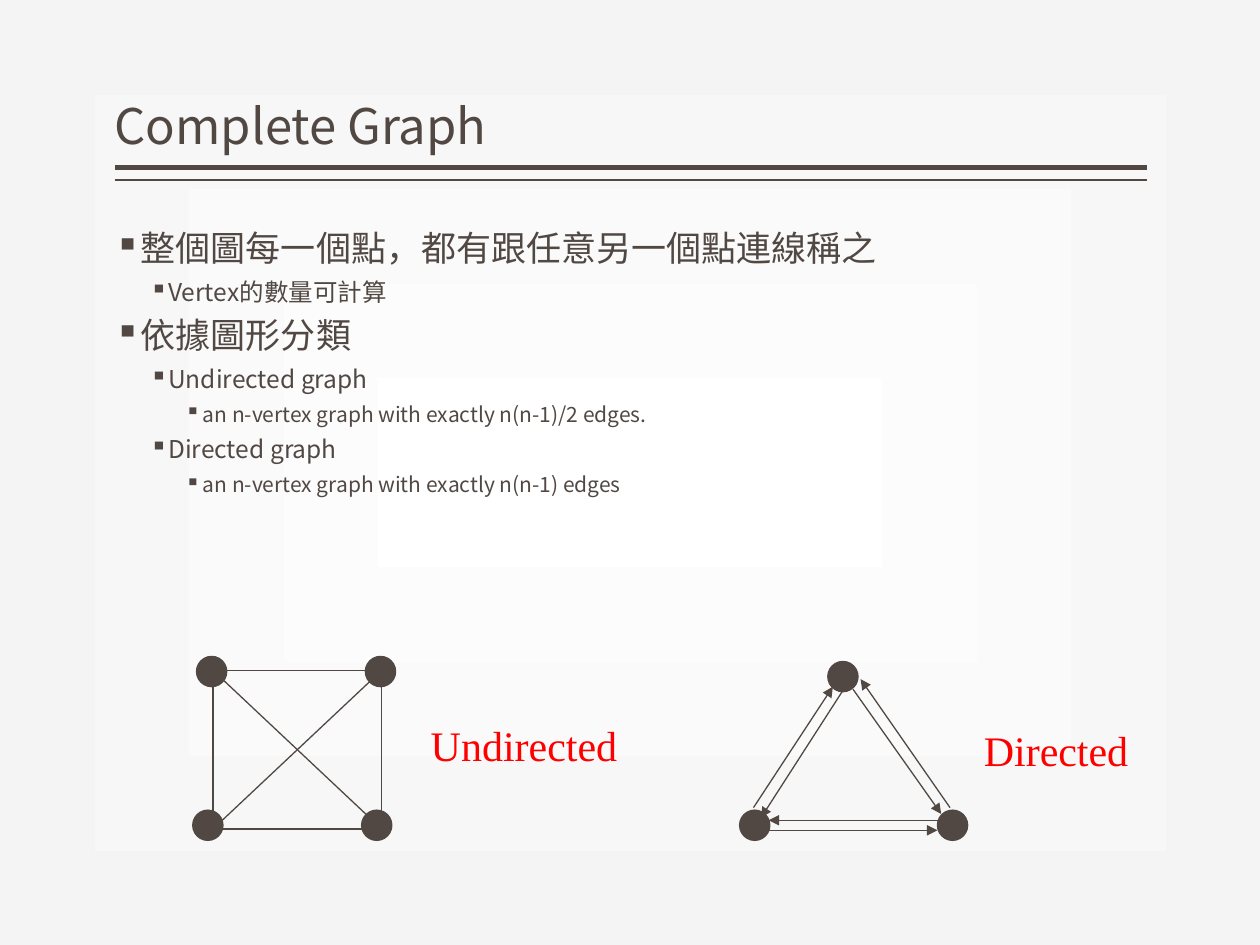
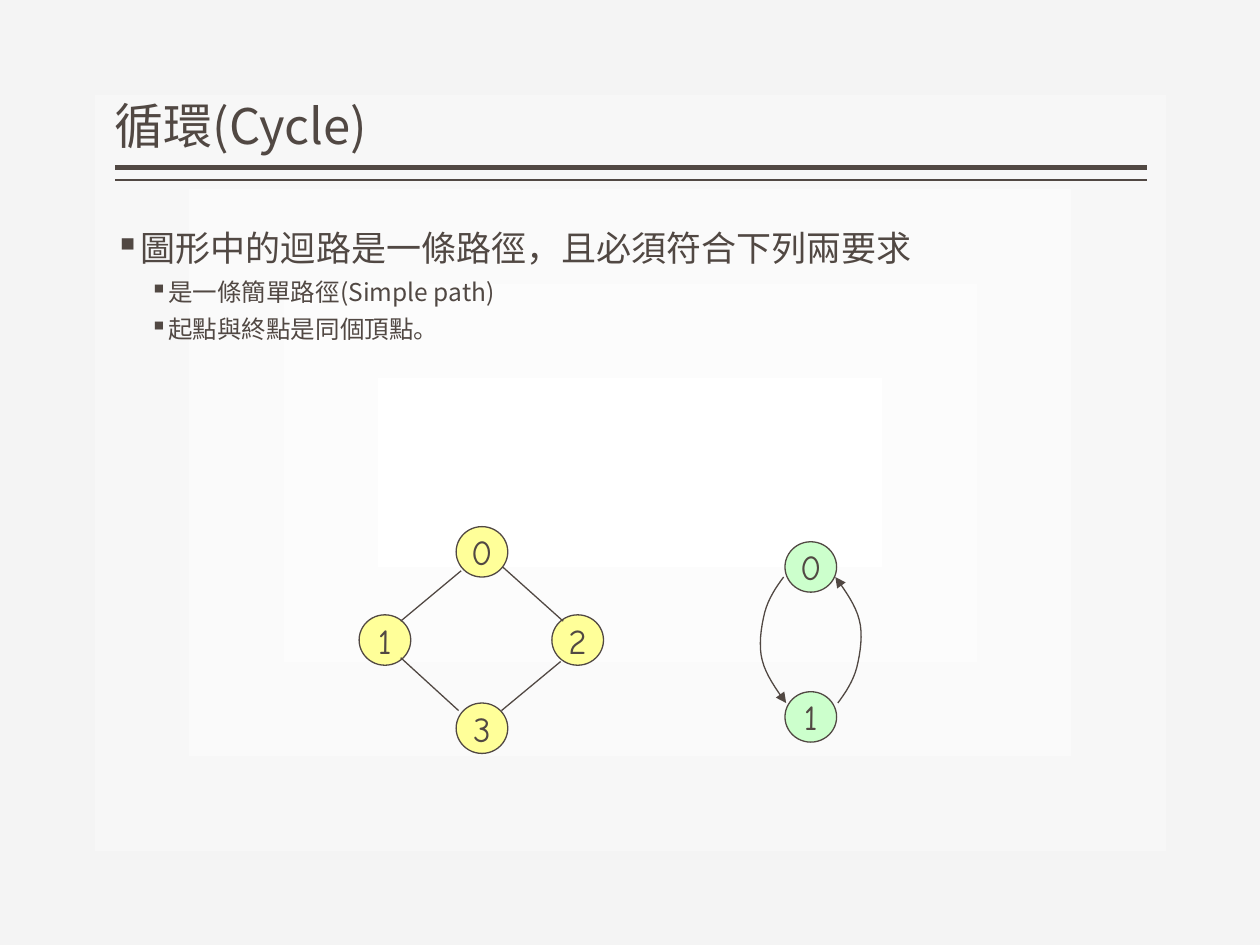
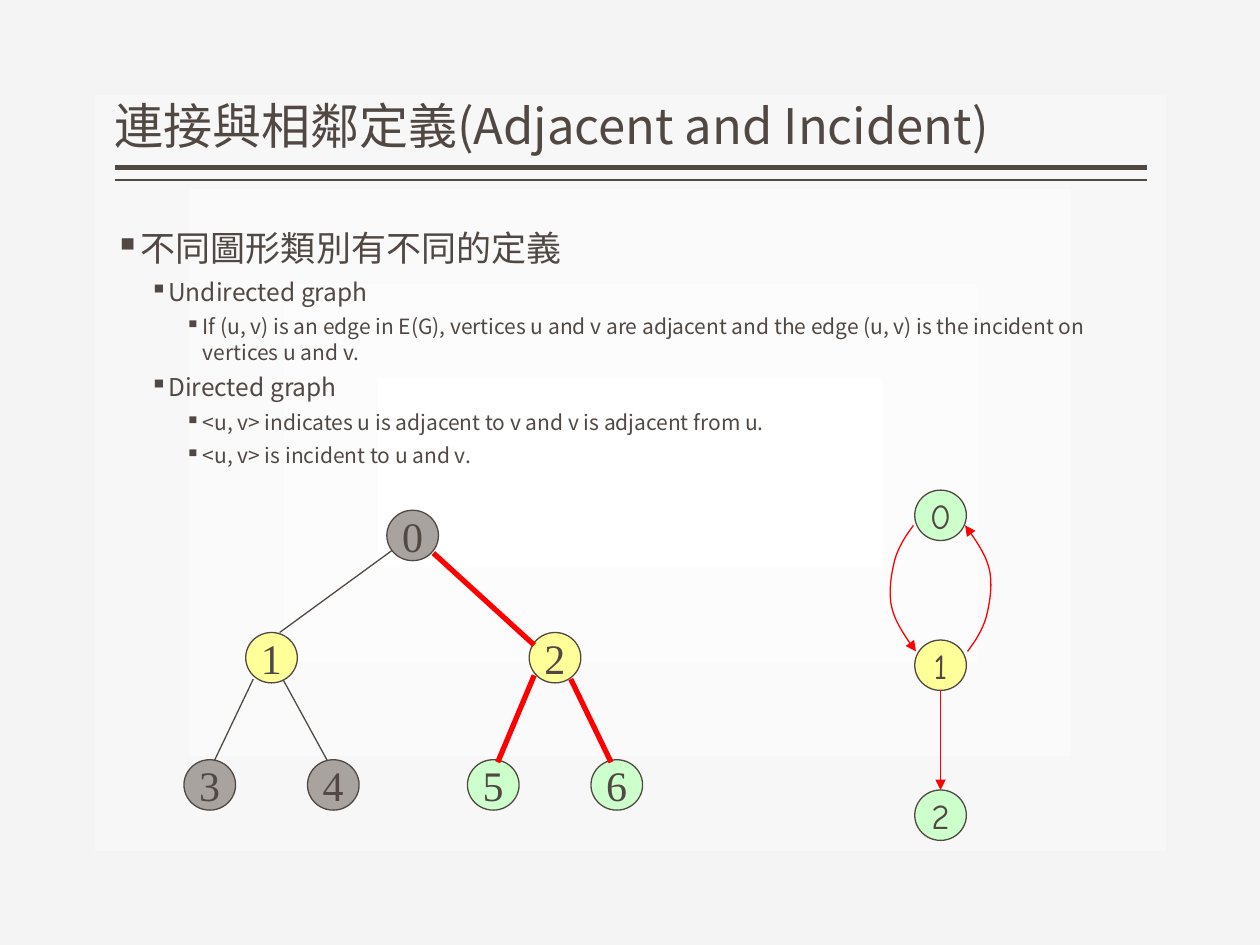
from dataclasses import dataclass

from lxml import etree
from pptx import Presentation
from pptx.dml.color import RGBColor
from pptx.enum.shapes import MSO_CONNECTOR, MSO_SHAPE
from pptx.enum.text import MSO_ANCHOR, MSO_AUTO_SIZE, PP_ALIGN
from pptx.oxml import parse_xml
from pptx.oxml.ns import nsdecls, qn
from pptx.util import Inches, Pt

LINE = MSO_CONNECTOR.STRAIGHT
OVAL, RECT = MSO_SHAPE.OVAL, MSO_SHAPE.RECTANGLE
BOTTOM, MIDDLE, TOP = MSO_ANCHOR.BOTTOM, MSO_ANCHOR.MIDDLE, MSO_ANCHOR.TOP
FIXED, GROW = MSO_AUTO_SIZE.NONE, MSO_AUTO_SIZE.SHAPE_TO_FIT_TEXT
LEFT, CENTER = PP_ALIGN.LEFT, PP_ALIGN.CENTER


@dataclass(frozen=True)
class Theme:
    """Colours, fonts and sizes shared by all slides."""
    ink: str = "514843"
    red: str = "FF0000"
    yellow: str = "FFFF99"
    green: str = "CCFFCC"
    gray: str = "A8A39E"
    white: str = "FFFFFF"
    edge: str = "F4F4F4"
    sans: str = "Noto Sans CJK SC"
    serif: str = "Times New Roman"
    hand: str = "Comic Neue"
    title: float = 28
    levels: tuple = (20, 14, 12)
    label: float = 24
    node: float = 20
    gap: float = 4.5
    thin: float = 0.75
    thick: float = 3


T = Theme()
TITLE = (0.91, 0.08, 8.19, 1.2)
BODY = (0.91, 1.75, 8.19, 5)
NODE_W, NODE_H, DOT = 0.41, 0.4, 0.24
STEP = 1.19
ARC = [(-0.01, 0.28), (-0.07, 0.36), (-0.13, 0.45), (-0.16, 0.56),
       (-0.19, 0.68), (-0.21, 0.83), (-0.18, 0.94),
       (-0.15, 1.06), (-0.07, 1.17), (0.01, 1.28)]


def apply(item, values):
    """Set attributes of an item from a dict."""
    for name, value in values.items():
        setattr(item, name, value)


def place(shape, box):
    """Move and size a shape to a box in inches."""
    names = ("left", "top", "width", "height")
    apply(shape, dict(zip(names, map(Inches, box))))


def write(para, text, size, face, color):
    """Add one formatted run to a paragraph."""
    run = para.add_run()
    run.text = text
    apply(run.font, {"size": Pt(size), "name": face})
    run.font.color.rgb = RGBColor.from_string(color)
    etree.SubElement(run._r.get_or_add_rPr(), qn("a:ea"), typeface=face)


def stroke(shape, color, width, arrow=False):
    """Colour an outline and add an arrowhead on request."""
    shape.line.color.rgb = RGBColor.from_string(color)
    shape.line.width = Pt(width)
    if arrow:
        line = shape._element.spPr.find(qn("a:ln"))
        etree.SubElement(line, qn("a:tailEnd"), type="triangle")


def link(slide, start, end, color=T.ink, width=T.thin, arrow=False):
    """Draw a straight line between two points."""
    ends = map(Inches, (*start, *end))
    line = slide.shapes.add_connector(LINE, *ends)
    stroke(line, color, width, arrow)
    etree.SubElement(line._element.spPr, qn("a:effectLst"))


def solid(slide, kind, box, fill=None):
    """Draw a preset shape with a thin outline."""
    shape = slide.shapes.add_shape(kind, *map(Inches, box))
    shape.shadow.inherit = False
    if fill:
        shape.fill.solid()
        shape.fill.fore_color.rgb = RGBColor.from_string(fill)
    else:
        shape.fill.background()
    stroke(shape, T.ink, T.thin)
    return shape


def node(slide, x, y, text, fill, face=T.hand, size=T.node):
    """Draw a numbered vertex."""
    frame = solid(slide, OVAL, (x, y, NODE_W, NODE_H), fill).text_frame
    apply(frame, {"word_wrap": False, "vertical_anchor": MIDDLE})
    para = frame.paragraphs[0]
    para.alignment = CENTER
    write(para, text, size, face, T.ink)


def dots(slide, x, y, spots):
    """Draw plain vertices at offsets from a corner."""
    for dx, dy in spots:
        solid(slide, OVAL, (x + dx, y + dy, DOT, DOT), T.ink)


def label(slide, box, text):
    """Write a red caption beside a graph."""
    frame = slide.shapes.add_textbox(*map(Inches, box)).text_frame
    apply(frame, {"word_wrap": False, "auto_size": GROW})
    write(frame.paragraphs[0], text, T.label, T.serif, T.red)


def cubic(p, t):
    """Return the point at t on a cubic curve."""
    s = 1 - t
    weights = (s ** 3, 3 * s * s * t, 3 * s * t * t, t ** 3)
    return tuple(sum(w * q[i] for w, q in zip(weights, p)) for i in (0, 1))


def curve(slide, points, color, parts=8):
    """Draw an open arrow through joined cubic curves."""
    path = [cubic(points[i:i + 4], n / parts)
            for i in range(0, len(points) - 1, 3) for n in range(1, parts + 1)]
    build = slide.shapes.build_freeform(*map(Inches, points[0]))
    build.add_line_segments([tuple(map(Inches, p)) for p in path], close=False)
    shape = build.convert_to_shape()
    shape.shadow.inherit = False
    shape.fill.background()
    stroke(shape, color, T.thin, True)


def loop(slide, x, y, fills, color):
    """Draw stacked vertices with a two-way cycle between the first two."""
    for i, fill in enumerate(fills):
        node(slide, x, y + i * STEP, str(i), fill)
    down = [(x + dx, y + dy) for dx, dy in ARC]
    up = [(x + NODE_W - dx, y + STEP + NODE_H - 0.03 - dy) for dx, dy in ARC]
    curve(slide, down, color)
    curve(slide, up, color)


def backdrop(deck):
    """Give the master its rectangular gradient."""
    fill = deck.slide_master.background.fill
    fill.solid()
    old = deck.slide_master._element.cSld.find(".//" + qn("a:solidFill"))
    grad = parse_xml(
        f'<a:gradFill {nsdecls("a")} rotWithShape="1"><a:gsLst>'
        f'<a:gs pos="0"><a:srgbClr val="{T.white}"/></a:gs>'
        f'<a:gs pos="100000"><a:srgbClr val="{T.edge}">'
        '<a:alpha val="80000"/></a:srgbClr></a:gs></a:gsLst>'
        '<a:path path="rect"><a:fillToRect l="5000" t="5000" r="5000" b="5000"/>'
        '</a:path></a:gradFill>')
    old.getparent().replace(old, grad)


def frame_up(frame, anchor):
    """Apply the shared margins of title and body."""
    apply(frame, {"margin_left": 0, "margin_right": 0,
                  "margin_top": Inches(0.05), "margin_bottom": Inches(0.05),
                  "word_wrap": True, "auto_size": FIXED,
                  "vertical_anchor": anchor})


def head(slide, text):
    """Fill the title and rule it off."""
    x, _, wide, _ = TITLE
    for y, width in ((1.33, T.thick), (1.43, 1)):
        link(slide, (x + wide, y), (x, y), T.ink, width)
    place(slide.shapes.title, TITLE)
    frame = slide.shapes.title.text_frame
    frame_up(frame, BOTTOM)
    para = frame.paragraphs[0]
    apply(para, {"alignment": LEFT, "line_spacing": 0.9})
    write(para, text, T.title, T.sans, T.ink)


def body(slide, items):
    """Write the bulleted outline."""
    frame = slide.shapes.add_textbox(*map(Inches, BODY)).text_frame
    frame_up(frame, TOP)
    for i, (level, text) in enumerate(items):
        para = frame.add_paragraph() if i else frame.paragraphs[0]
        apply(para, {"level": level, "space_before": Pt(T.gap if i else 0)})
        props = para._p.get_or_add_pPr()
        props.set("marL", str(Inches(0.14 + 0.28 * level)))
        props.set("indent", str(Inches(-0.14)))
        etree.SubElement(props, qn("a:buChar"), char="▪")
        write(para, text, T.levels[level], T.sans, T.ink)


def square(slide, x, y):
    """Draw the complete undirected graph."""
    wide, high = 1.34, 1.26
    solid(slide, RECT, (x, y, wide, high))
    link(slide, (x, y), (x + wide, y + high))
    link(slide, (x, y + high), (x + wide, y))
    dots(slide, x, y, [(dx + sx, dy) for sx in (0, wide)
                       for dx, dy in ((-0.13, -0.11), (-0.16, 1.11))])
    label(slide, (x + 1.63, y + 0.34, 1.7, 0.5), "Undirected")


def triad(slide, x, y):
    """Draw the complete directed graph."""
    dots(slide, x, y, [(0.7, 0), (0, 1.18), (1.57, 1.18)])
    for ax, ay, bx, by in ((0.82, 0.23, 0.17, 1.24), (0.23, 1.34, 1.57, 1.34),
                           (1.67, 1.16, 0.96, 0.14), (0.11, 1.16, 0.74, 0.2),
                           (1.65, 1.26, 0.23, 1.26), (0.9, 0.22, 1.6, 1.21)):
        link(slide, (x + ax, y + ay), (x + bx, y + by), arrow=True)
    label(slide, (x + 1.84, y + 0.45, 1.36, 0.5), "Directed")


def diamond(slide, x, y):
    """Draw the cycle of four vertices."""
    spots = ((0.77, 0), (0, 0.7), (1.53, 0.7), (0.77, 1.4))
    for i, (dx, dy) in enumerate(spots):
        node(slide, x + dx, y + dy, str(i), T.yellow)
    for ax, ay, bx, by in ((1.6, 1.07, 1.13, 1.46), (0.81, 0.35, 0.33, 0.75),
                           (0.33, 1.04, 0.79, 1.46), (1.14, 0.32, 1.62, 0.75)):
        link(slide, (x + ax, y + ay), (x + bx, y + by))


def tree(slide, x, y):
    """Draw the binary tree with its marked edges."""
    spots = ((1.61, 0, T.gray), (0.49, 0.97, T.yellow), (2.74, 0.97, T.yellow),
             (0, 1.98, T.gray), (0.98, 1.98, T.gray),
             (2.25, 1.98, T.green), (3.23, 1.98, T.green))
    for i, (dx, dy, fill) in enumerate(spots):
        node(slide, x + dx, y + dy, str(i), fill, T.serif, T.label)
    plain = ((1.65, 0.32, 0.76, 0.97), (0.55, 1.34, 0.24, 1.99),
             (0.79, 1.35, 1.14, 1.99))
    marked = ((2.78, 1.31, 2.49, 2), (3.07, 1.34, 3.39, 2),
              (1.98, 0.34, 2.78, 1.07))
    for edges, color, width in ((plain, T.ink, T.thin),
                                (marked, T.red, T.thick)):
        for ax, ay, bx, by in edges:
            link(slide, (x + ax, y + ay), (x + bx, y + by), color, width)


def start(deck, title, items):
    """Add a slide with its title and outline."""
    slide = deck.slides.add_slide(deck.slide_layouts[5])
    head(slide, title)
    body(slide, items)
    return slide


def complete(deck):
    """Build the slide on complete graphs."""
    slide = start(deck, "Complete Graph", [
        (0, "整個圖每一個點，都有跟任意另一個點連線稱之"),
        (1, "Vertex的數量可計算"),
        (0, "依據圖形分類"),
        (1, "Undirected graph"),
        (2, "an n-vertex graph with exactly n(n-1)/2 edges."),
        (1, "Directed graph"),
        (2, "an n-vertex graph with exactly n(n-1) edges")])
    square(slide, 1.69, 5.32)
    triad(slide, 5.87, 5.25)


def cycle(deck):
    """Build the slide on cycles."""
    slide = start(deck, "循環(Cycle)", [
        (0, "圖形中的迴路是一條路徑，且必須符合下列兩要求"),
        (1, "是一條簡單路徑(Simple path)"),
        (1, "起點與終點是同個頂點。")])
    diamond(slide, 2.85, 4.18)
    loop(slide, 6.23, 4.3, (T.green, T.green), T.ink)


def adjacent(deck):
    """Build the slide on adjacency and incidence."""
    slide = start(deck, "連接與相鄰定義(Adjacent and Incident)", [
        (0, "不同圖形類別有不同的定義"),
        (1, "Undirected graph"),
        (2, "If (u, v) is an edge in E(G), vertices u and v are adjacent "
            "and the edge (u, v) is the incident on vertices u and v."),
        (1, "Directed graph"),
        (2, "<u, v> indicates u is adjacent to v and v is adjacent from u."),
        (2, "<u, v> is incident to u and v.")])
    tree(slide, 1.46, 4.05)
    x, y = 7.26, 3.89
    loop(slide, x, y, (T.green, T.yellow, T.green), T.red)
    mid = x + NODE_W / 2
    link(slide, (mid, y + STEP + NODE_H), (mid, y + 2 * STEP), T.red, arrow=True)


def main():
    """Build and save the deck."""
    deck = Presentation()
    apply(deck, {"slide_width": Inches(10), "slide_height": Inches(7.5)})
    backdrop(deck)
    for build in (complete, cycle, adjacent):
        build(deck)
    deck.save("out.pptx")


if __name__ == "__main__":
    main()
